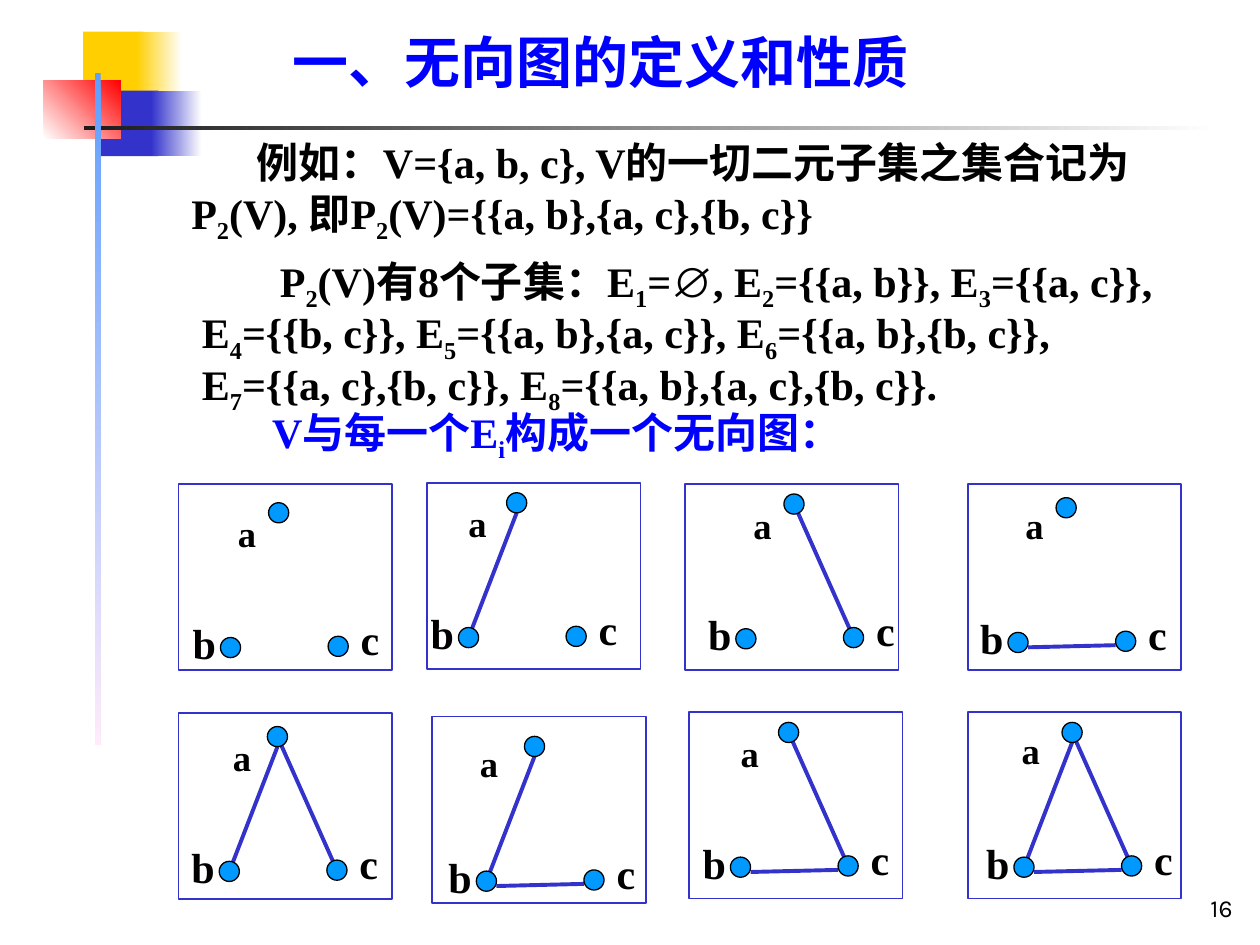
"""Builds a slide on undirected graphs: set definitions and the eight graphs on three vertices."""
from dataclasses import dataclass
from itertools import groupby
from typing import Iterator

from lxml import etree
from pptx import Presentation
from pptx.dml.color import RGBColor
from pptx.enum.shapes import MSO_CONNECTOR, MSO_SHAPE
from pptx.enum.text import MSO_ANCHOR, MSO_AUTO_SIZE, PP_ALIGN
from pptx.oxml.ns import qn
from pptx.util import Pt

RECTANGLE, OVAL = MSO_SHAPE.RECTANGLE, MSO_SHAPE.OVAL
STRAIGHT = MSO_CONNECTOR.STRAIGHT
LEFT, RIGHT = PP_ALIGN.LEFT, PP_ALIGN.RIGHT
TOP, BOTTOM = MSO_ANCHOR.TOP, MSO_ANCHOR.BOTTOM
GROW = MSO_AUTO_SIZE.SHAPE_TO_FIT_TEXT

BLACK = RGBColor(0x00, 0x00, 0x00)
WHITE = RGBColor(0xFF, 0xFF, 0xFF)
BLUE = RGBColor(0x00, 0x00, 0xFF)
INDIGO = RGBColor(0x33, 0x33, 0xCC)
YELLOW = RGBColor(0xFF, 0xCF, 0x01)
RED = RGBColor(0xFF, 0x00, 0x00)
CHARCOAL = RGBColor(0x1C, 0x1C, 0x1C)
SKY = RGBColor(0x5E, 0x9E, 0xFF)
PINK = RGBColor(0xFF, 0xEB, 0xFA)
VERTEX_BLUE = RGBColor(0x00, 0x99, 0xFF)

SERIF, SYMBOL_FONT, NUMBER_FONT = "Times New Roman", "Arial", "Karla"
HANGING = 27.36
DOT = 11.5
FRAME_WIDTH, FRAME_HEIGHT = 122, 106.5
VERTEX_OFFSETS = {"a": (27.5, -77), "b": (0, 0), "c": (61.5, -0.7)}
EDGE_ENDS = {
    "ab": ((DOT / 2, DOT), (DOT / 2, DOT / 2)),
    "ac": ((DOT / 2, DOT / 2), (DOT / 2, DOT / 2)),
    "bc": ((DOT, 8.5), (0, 8)),
}


@dataclass(frozen=True)
class Ornament:
    left: float
    top: float
    width: float
    height: float
    start: RGBColor
    end: RGBColor | None = None
    angle: float = 0


@dataclass(frozen=True)
class Graph:
    frame: tuple[float, float]
    vertex_b: tuple[float, float]
    label_a: tuple[float, float]
    edges: tuple[str, ...] = ()


ORNAMENTS = (
    Ornament(47.5, 18, 34.5, 37.5, YELLOW),
    Ornament(78, 18, 26, 37.5, YELLOW, WHITE),
    Ornament(57.6, 51.8, 33, 37.4, INDIGO),
    Ornament(86.4, 51.8, 29, 37.4, INDIGO, WHITE),
    Ornament(25, 46, 44, 33.3, WHITE, RED, 45),
    Ornament(48, 72, 648, 2.2, CHARCOAL, WHITE),
    Ornament(54, 41.8, 3.6, 384, SKY, PINK, 270),
)

GRAPHS = (
    Graph((102, 276.5), (126, 364.3), (128.9, 264.2)),
    Graph((244, 275.8), (262, 358.6), (260.6, 258.5), ("ab",)),
    Graph((391.5, 276.5), (420.5, 359.3), (423.4, 259.9), ("ac",)),
    Graph((553, 276.5), (576, 361.4), (578.9, 259.9), ("bc",)),
    Graph((102, 407.3), (125.3, 492.2), (126, 392.4), ("ab", "ac")),
    Graph((247, 409.5), (272.2, 497.8), (267.1, 396), ("ab", "bc")),
    Graph((393.8, 407), (417.4, 489.8), (416.2, 390.2), ("ac", "bc")),
    Graph((553, 407), (579.4, 489.8), (576.7, 388.1), ("ab", "ac", "bc")),
)

PAIRS_TEXT = "例如：V={a, b, c}, V的一切二元子集之集合记为P_2(V), 即P_2(V)={{a, b},{a, c},{b, c}}"
SUBSETS_TEXT = (
    "P_2(V)有8个子集：E_1=∅, E_2={{a, b}}, E_3={{a, c}}, E_4={{b, c}}, "
    "E_5={{a, b},{a, c}}, E_6={{a, b},{b, c}}, E_7={{a, c},{b, c}}, "
    "E_8={{a, b},{a, c},{b, c}}."
)


def split_runs(text: str) -> Iterator[tuple[str, bool]]:
    """Yield pieces of text, each with whether it is a subscript marked by an underscore."""
    first, *rest = text.split("_")
    pieces = [(first, False)]
    for part in rest:
        pieces += [(part[0], True), (part[1:], False)]
    for piece, lowered in pieces:
        for _, letters in groupby(piece, key=lambda letter: letter == "∅"):
            yield "".join(letters), lowered


def add_text(shapes, text: str, left: float, top: float, width: float, height: float, *,
             size: float = 24, color: RGBColor = BLACK, font: str = SERIF, bold: bool = True,
             align: PP_ALIGN = LEFT, anchor: MSO_ANCHOR = TOP, inset: tuple[float, float] = (0, 0),
             wrap: bool = True, grow: bool = True, spacing: float | None = None,
             margin: float = 0, indent: float = 0) -> None:
    """Add a one-paragraph text box with subscripts."""
    frame = shapes.add_textbox(Pt(left), Pt(top), Pt(width), Pt(height)).text_frame
    frame.word_wrap, frame.vertical_anchor = wrap, anchor
    frame.margin_left = frame.margin_right = Pt(inset[0])
    frame.margin_top = frame.margin_bottom = Pt(inset[1])
    if grow:
        frame.auto_size = GROW
    paragraph = frame.paragraphs[0]
    paragraph.alignment = align
    if spacing:
        paragraph.line_spacing = spacing
    properties = paragraph._p.get_or_add_pPr()
    properties.set("marL", str(Pt(margin)))
    properties.set("indent", str(Pt(indent)))
    for piece, lowered in split_runs(text):
        run = paragraph.add_run()
        run.text = piece
        run.font.name = SYMBOL_FONT if piece == "∅" else font
        run.font.size, run.font.bold = Pt(size), bold
        run.font.color.rgb = color
        if lowered:
            run.font._element.set("baseline", "-25000")


def add_block(shapes, kind: MSO_SHAPE, left: float, top: float, width: float, height: float,
              fill: RGBColor, line: RGBColor | None = None, weight: float = 1):
    """Add a filled preset shape, outlined when a line colour is given."""
    block = shapes.add_shape(kind, Pt(left), Pt(top), Pt(width), Pt(height))
    block.shadow.inherit = False
    block.fill.solid()
    block.fill.fore_color.rgb = fill
    if line is None:
        block.line.fill.background()
    else:
        block.line.color.rgb = line
        block.line.width = Pt(weight)
    return block


def add_ornament(shapes, ornament: Ornament) -> None:
    """Add one plain or gradient bar of the corner decoration."""
    bar = add_block(shapes, RECTANGLE, ornament.left, ornament.top,
                    ornament.width, ornament.height, ornament.start)
    if ornament.end is not None:
        bar.fill.gradient()
        bar.fill.gradient_angle = ornament.angle
        for stop, color in zip(bar.fill.gradient_stops, (ornament.start, ornament.end)):
            stop.color.rgb = color


def add_edge(shapes, start: tuple[float, float], end: tuple[float, float]) -> None:
    """Add a graph edge between two points."""
    edge = shapes.add_connector(STRAIGHT, *map(Pt, start + end))
    edge.line.color.rgb = INDIGO
    edge.line.width = Pt(2.25)
    etree.SubElement(edge._element.spPr, qn("a:effectLst"))


def add_graph(slide, graph: Graph) -> None:
    """Add a framed graph with its edges, vertices and labels as a group."""
    shapes = slide.shapes.add_group_shape().shapes
    add_block(shapes, RECTANGLE, *graph.frame, FRAME_WIDTH, FRAME_HEIGHT, WHITE, INDIGO)
    x, y = graph.vertex_b
    vertices = {name: (x + dx, y + dy) for name, (dx, dy) in VERTEX_OFFSETS.items()}
    for edge in graph.edges:
        start, end = ((vertices[name][0] + dx, vertices[name][1] + dy)
                      for name, (dx, dy) in zip(edge, EDGE_ENDS[edge]))
        add_edge(shapes, start, end)
    for left, top in vertices.values():
        add_block(shapes, OVAL, left, top, DOT, DOT, VERTEX_BLUE, BLACK, 0.75)
    c_left, c_top = vertices["c"]
    labels = (("_a", *graph.label_a, 24.5, 57, 36), ("b", x - 23, y - 15, 27.4, 36, 24),
              ("c", c_left + DOT, c_top - 16.5, 25.2, 36, 24))
    for text, left, top, width, height, size in labels:
        add_text(shapes, text, left, top, width, height, size=size, inset=(7.2, 3.6), wrap=False)


def main() -> None:
    """Build and save the slide."""
    deck = Presentation()
    deck.slide_width, deck.slide_height = Pt(720), Pt(540)
    slide = deck.slides.add_slide(deck.slide_layouts[6])
    shapes = slide.shapes
    for ornament in ORNAMENTS:
        add_ornament(shapes, ornament)
    add_text(shapes, "一、无向图的定义和性质", 167, 20, 394.5, 34.5, size=32, color=BLUE,
             spacing=0.9, margin=HANGING, indent=-HANGING)
    add_text(shapes, PAIRS_TEXT, 82, 81.4, 570, 55.4, spacing=0.9, margin=HANGING, indent=37.5)
    add_text(shapes, SUBSETS_TEXT, 88, 146.2, 578, 88.6, spacing=0.9, margin=HANGING, indent=44.6)
    add_text(shapes, "V与每一个E_i构成一个无向图：", 155.5, 232.6, 363, 29.5, color=BLUE,
             spacing=0.9, margin=HANGING, indent=-HANGING)
    for graph in GRAPHS:
        add_graph(slide, graph)
    add_text(shapes, "16", 561.6, 494.6, 149.8, 36, size=14, font=NUMBER_FONT, bold=False,
             align=RIGHT, anchor=BOTTOM, inset=(7.2, 3.6), grow=False)
    deck.save("out.pptx")


if __name__ == "__main__":
    main()
